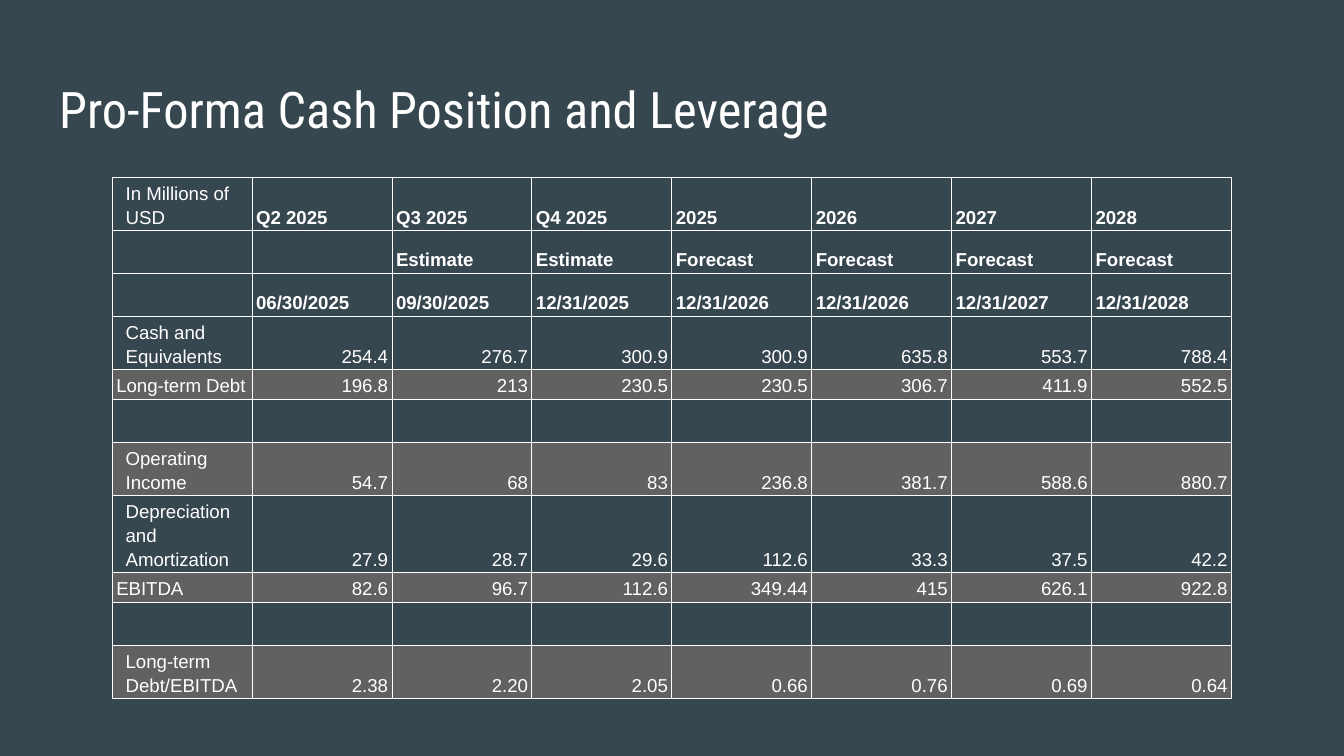
from typing import NamedTuple

from lxml import etree
from pptx import Presentation
from pptx.dml.color import RGBColor
from pptx.enum.text import MSO_ANCHOR, PP_ALIGN
from pptx.oxml.ns import qn
from pptx.util import Inches, Pt

LEFT, RIGHT = PP_ALIGN.LEFT, PP_ALIGN.RIGHT
BOTTOM, MIDDLE = MSO_ANCHOR.BOTTOM, MSO_ANCHOR.MIDDLE

SLIDE_W = Inches(10)
SLIDE_H = SLIDE_W * 9 // 16
SLATE, GREY, WHITE = "37474F", "616161", "FFFFFF"
TITLE_FONT, TABLE_FONT = "Roboto Condensed", "Arial"
COLUMNS = 8
TABLE_W = Inches(8.33)
HEADER_H, BODY_H = Inches(0.23), Inches(0.22)
WIDE_INSET, NARROW_INSET, V_INSET = Inches(0.1), Inches(0.03), Inches(0.02)
BORDER = Pt(0.6)


class Row(NamedTuple):
    label: str = ""
    values: tuple[str, ...] = ("",) * (COLUMNS - 1)
    header: bool = False
    shaded: bool = False
    indented: bool = True


ROWS = (
    Row("In Millions of USD",
        ("Q2 2025", "Q3 2025", "Q4 2025", "2025", "2026", "2027", "2028"), header=True),
    Row("", ("",) + ("Estimate",) * 2 + ("Forecast",) * 4, header=True),
    Row("", ("06/30/2025", "09/30/2025", "12/31/2025", "12/31/2026",
             "12/31/2026", "12/31/2027", "12/31/2028"), header=True),
    Row("Cash and Equivalents",
        ("254.4", "276.7", "300.9", "300.9", "635.8", "553.7", "788.4")),
    Row("Long-term Debt",
        ("196.8", "213", "230.5", "230.5", "306.7", "411.9", "552.5"),
        shaded=True, indented=False),
    Row(),
    Row("Operating Income",
        ("54.7", "68", "83", "236.8", "381.7", "588.6", "880.7"), shaded=True),
    Row("Depreciation and Amortization",
        ("27.9", "28.7", "29.6", "112.6", "33.3", "37.5", "42.2")),
    Row("EBITDA",
        ("82.6", "96.7", "112.6", "349.44", "415", "626.1", "922.8"),
        shaded=True, indented=False),
    Row(),
    Row("Long-term Debt/EBITDA",
        ("2.38", "2.20", "2.05", "0.66", "0.76", "0.69", "0.64"), shaded=True),
)


def set_fill(fill, colour: str) -> None:
    fill.solid()
    fill.fore_color.rgb = RGBColor.from_string(colour)


def add_text(p, text: str, font: str, size: float, bold: bool = False) -> None:
    r = p.add_run()
    r.text = text
    r.font.name, r.font.size, r.font.bold = font, Pt(size), bold
    r.font.color.rgb = RGBColor.from_string(WHITE)


def set_empty_font(p, font: str, size: int) -> None:
    """Give a paragraph without runs the font that sets its line height."""
    end = etree.SubElement(p._p, qn("a:endParaRPr"), sz=str(size * 100))
    etree.SubElement(end, qn("a:latin"), typeface=font)


def set_borders(cell) -> None:
    """Line all four sides; borders must come before the fill in tcPr."""
    tc_pr = cell._tc.get_or_add_tcPr()
    for i, side in enumerate(("a:lnL", "a:lnR", "a:lnT", "a:lnB")):
        ln = etree.Element(qn(side), w=str(BORDER))
        fill = etree.SubElement(ln, qn("a:solidFill"))
        etree.SubElement(fill, qn("a:srgbClr"), val=WHITE)
        tc_pr.insert(i, ln)


def fill_cell(cell, text: str, row: Row, is_label: bool) -> None:
    inset = WIDE_INSET if is_label and row.indented else NARROW_INSET
    cell.margin_left = cell.margin_right = inset
    cell.margin_top = cell.margin_bottom = V_INSET
    cell.vertical_anchor = BOTTOM
    if row.shaded:
        set_fill(cell.fill, GREY)
    else:
        cell.fill.background()
    set_borders(cell)
    p = cell.text_frame.paragraphs[0]
    if text:
        p.alignment = LEFT if is_label or row.header else RIGHT
        p.line_spacing = 1.15
        add_text(p, text, TABLE_FONT, 10, bold=row.header and not is_label)
    else:
        set_empty_font(p, TABLE_FONT, 18)


def add_title(s, text: str) -> None:
    sp = s.shapes.title
    sp.left, sp.top = Inches(0.34), Inches(0.49)
    sp.width, sp.height = SLIDE_W - 2 * sp.left, Inches(0.63)
    tf = sp.text_frame
    tf.word_wrap = True
    tf.vertical_anchor = MIDDLE
    tf.margin_left = tf.margin_right = tf.margin_top = tf.margin_bottom = Inches(0.1)
    p = tf.paragraphs[0]
    p.alignment = LEFT
    add_text(p, text, TITLE_FONT, 27)


def add_cash_table(s, rows: tuple[Row, ...]) -> None:
    heights = [HEADER_H if row.header else BODY_H for row in rows]
    table = s.shapes.add_table(len(rows), COLUMNS, (SLIDE_W - TABLE_W) // 2,
                               Inches(1.32), TABLE_W, sum(heights)).table
    table.first_row = table.horz_banding = False
    for i, row in enumerate(rows):
        table.rows[i].height = heights[i]
        for j, text in enumerate((row.label, *row.values)):
            fill_cell(table.cell(i, j), text, row, is_label=j == 0)


def main() -> None:
    prs = Presentation()
    prs.slide_width, prs.slide_height = SLIDE_W, SLIDE_H
    s = prs.slides.add_slide(prs.slide_layouts.get_by_name("Title Only"))
    set_fill(s.background.fill, SLATE)
    add_title(s, "Pro-Forma Cash Position and Leverage")
    add_cash_table(s, ROWS)
    prs.save("out.pptx")


if __name__ == "__main__":
    main()
